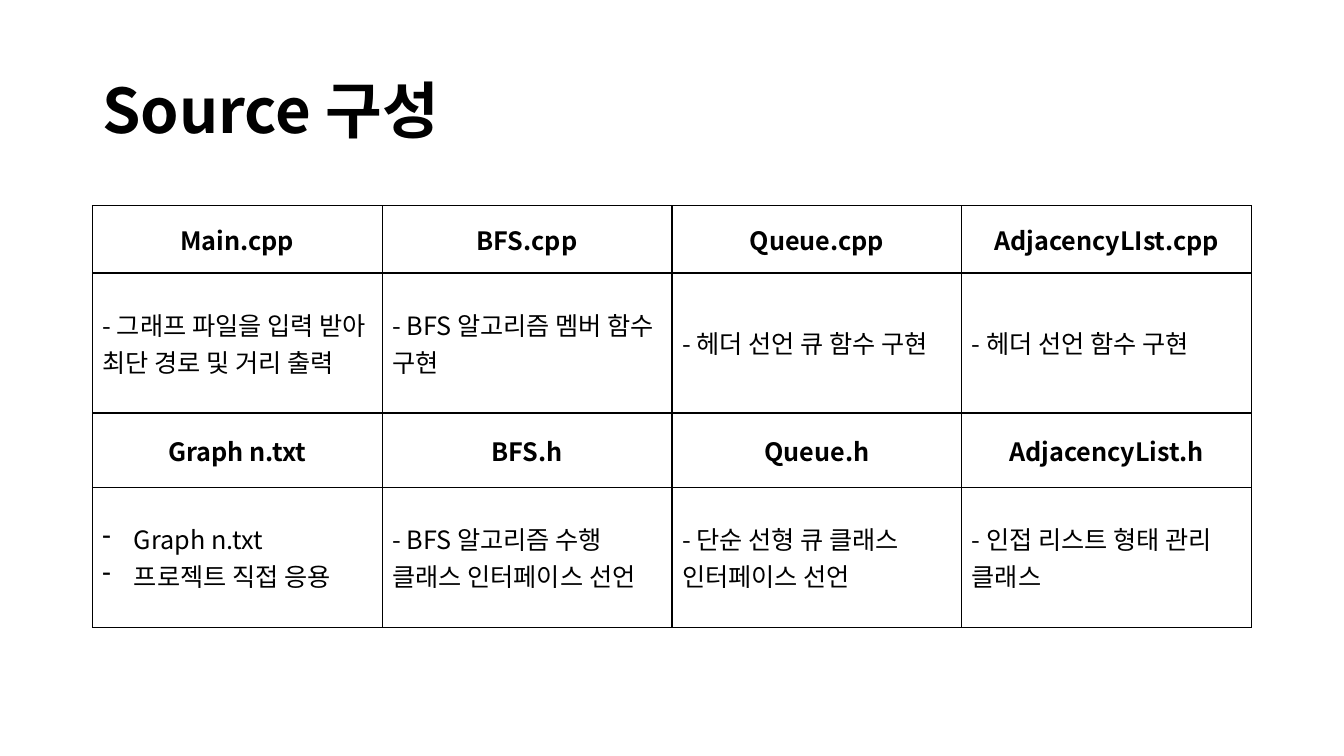
from dataclasses import dataclass
from lxml.etree import SubElement as Sub
from pptx import Presentation
from pptx.dml.color import RGBColor as Rgb
from pptx.enum.text import MSO_ANCHOR as Anchor, MSO_AUTO_SIZE as Fit, PP_ALIGN as Align
from pptx.oxml.ns import qn
from pptx.util import Pt

# Content
TITLE = "Source 구성"
CELLS = [
    ["Main.cpp", "BFS.cpp", "Queue.cpp", "AdjacencyLIst.cpp"],
    ["- 그래프 파일을 입력 받아 최단 경로 및 거리 출력",
     "- BFS 알고리즘 멤버 함수 구현",
     "- 헤더 선언 큐 함수 구현",
     "- 헤더 선언 함수 구현"],
    ["Graph n.txt", "BFS.h", "Queue.h", "AdjacencyList.h"],
    [["Graph n.txt", "프로젝트 직접 응용"],
     "- BFS 알고리즘 수행 클래스 인터페이스 선언",
     "- 단순 선형 큐 클래스 인터페이스 선언",
     "- 인접 리스트 형태 관리 클래스"],
]


# Theme and layout, in points
@dataclass(frozen=True)
class Theme:
    font: str = "Noto Sans CJK KR"
    ink: str = "000000"
    head: int = 44
    body: int = 18
    line: int = 1


LOOK = Theme()
LEFT, WIDE = 66, 828
HEAD_TOP, HEAD_TALL = 28.8, 104.4
GRID_TOP = 147
ROWS = [48, 100, 53, 100]
INDENT = 22.5


def style(para, size, bold):
    font = para.font
    font.name, font.size, font.bold = LOOK.font, Pt(size), bold
    font.color.rgb = Rgb.from_string(LOOK.ink)
    # East Asian face for the Korean text
    props = para._p.get_or_add_pPr().find(qn("a:defRPr"))
    face = Sub(props, qn("a:ea"))
    face.set("typeface", LOOK.font)
    props.find(qn("a:latin")).addnext(face)


def bullet(para):
    props = para._p.get_or_add_pPr()
    props.set("marL", str(Pt(INDENT)))
    props.set("indent", str(-Pt(INDENT)))
    mark = Sub(props, qn("a:buChar"))
    mark.set("char", "-")
    props.insert(0, mark)


def border(cell):
    props = cell._tc.get_or_add_tcPr()
    for side in ("lnL", "lnR", "lnT", "lnB"):
        edge = Sub(props, qn("a:" + side), w=str(Pt(LOOK.line)))
        fill = Sub(edge, qn("a:solidFill"))
        Sub(fill, qn("a:srgbClr"), val=LOOK.ink)


def write(cell, text, bold):
    items = text if isinstance(text, list) else [text]
    cell.text = "\n".join(items)
    cell.vertical_anchor = Anchor.MIDDLE
    for para in cell.text_frame.paragraphs:
        para.alignment = Align.CENTER if bold else Align.LEFT
        if len(items) > 1:
            bullet(para)
        style(para, LOOK.body, bold)
    border(cell)
    cell.fill.background()


def main():
    deck = Presentation()
    deck.slide_width, deck.slide_height = Pt(960), Pt(540)
    slide = deck.slides.add_slide(deck.slide_layouts[5])

    # Title
    head = slide.shapes.title
    head.left, head.top = Pt(LEFT), Pt(HEAD_TOP)
    head.width, head.height = Pt(WIDE), Pt(HEAD_TALL)
    frame = head.text_frame
    frame.text = TITLE
    frame.vertical_anchor = Anchor.MIDDLE
    frame.auto_size = Fit.NONE
    para = frame.paragraphs[0]
    para.alignment, para.line_spacing = Align.LEFT, 0.9
    style(para, LOOK.head, True)

    # Table of source files: name rows alternate with notes
    count = len(CELLS[0])
    grid = slide.shapes.add_table(
        len(CELLS), count, Pt(LEFT), Pt(GRID_TOP), Pt(WIDE), Pt(sum(ROWS))).table
    grid.first_row = grid.horz_banding = False
    for col in grid.columns:
        col.width = Pt(WIDE / count)
    for r, (tall, texts) in enumerate(zip(ROWS, CELLS)):
        grid.rows[r].height = Pt(tall)
        for c, text in enumerate(texts):
            write(grid.cell(r, c), text, r % 2 == 0)

    deck.save("out.pptx")


if __name__ == "__main__":
    main()
